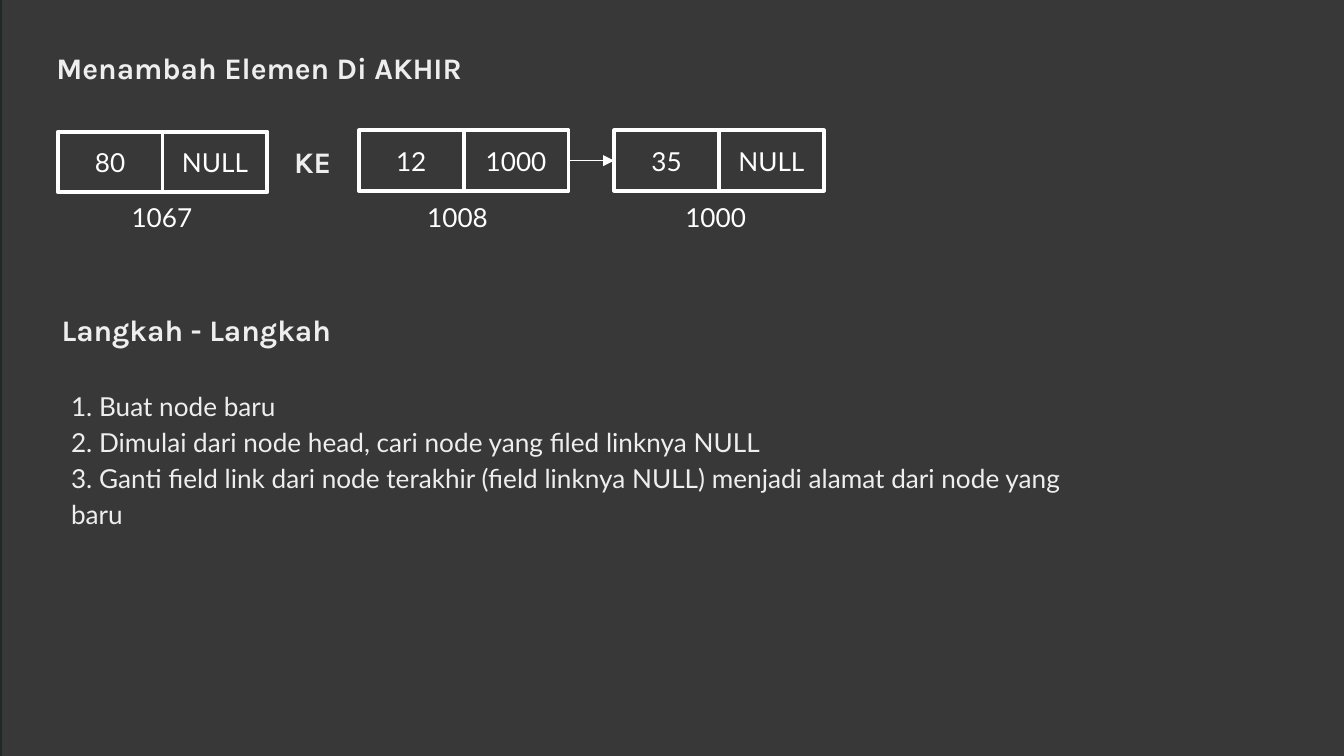
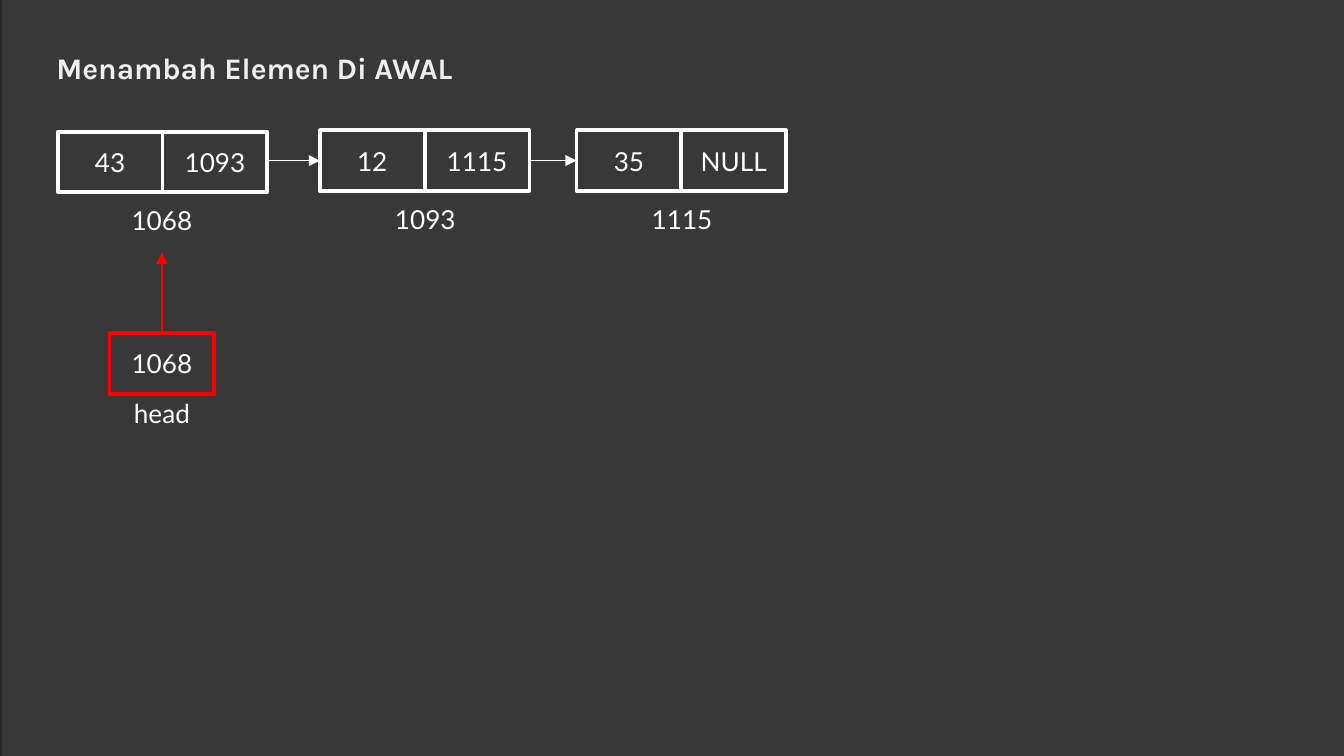
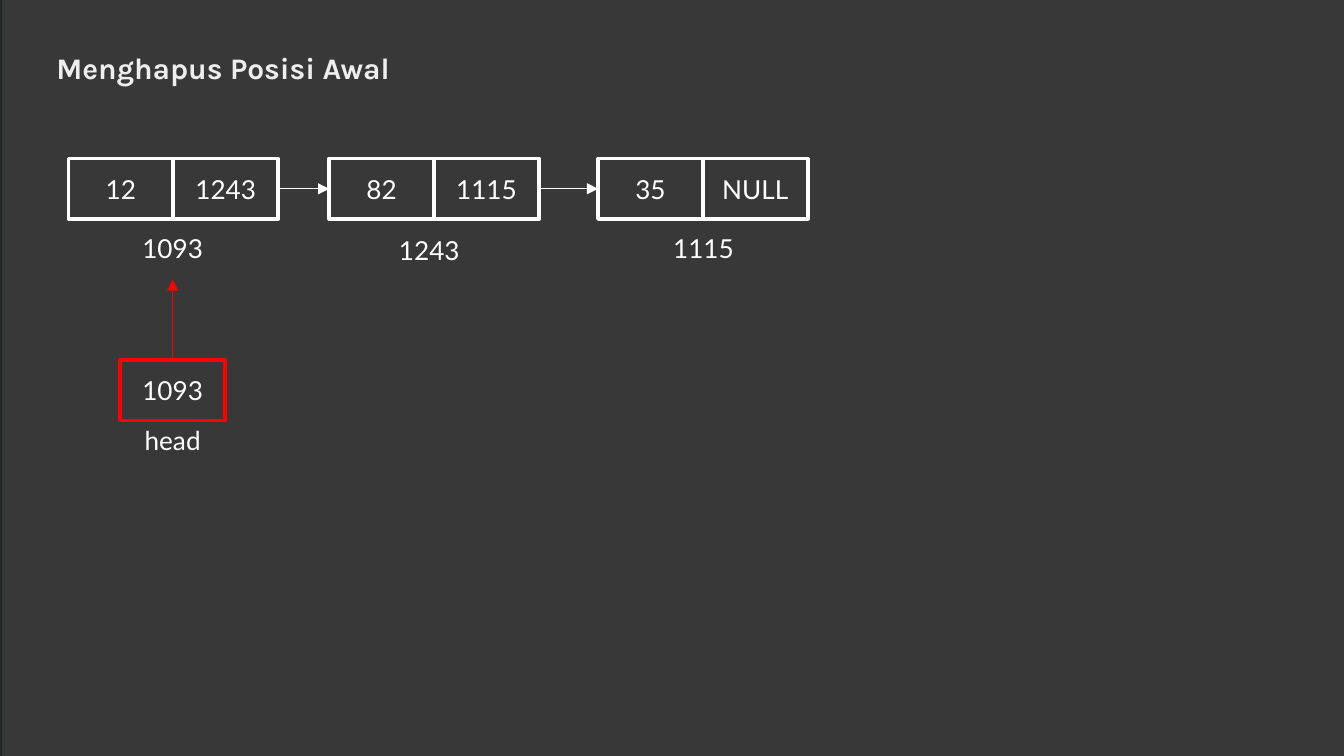
"""Build three slides on adding to and deleting from a linked list."""
from dataclasses import dataclass

from pptx import Presentation
from pptx.dml.color import RGBColor
from pptx.enum.shapes import MSO_CONNECTOR, MSO_SHAPE
from pptx.enum.text import MSO_ANCHOR, MSO_AUTO_SIZE, PP_ALIGN
from pptx.oxml.ns import qn
from pptx.oxml.xmlchemy import OxmlElement
from pptx.presentation import Presentation as Deck
from pptx.shapes.autoshape import Shape
from pptx.slide import Slide
from pptx.text.text import TextFrame
from pptx.util import Inches, Pt

RECTANGLE = MSO_SHAPE.RECTANGLE
STRAIGHT = MSO_CONNECTOR.STRAIGHT
TOP, MIDDLE = MSO_ANCHOR.TOP, MSO_ANCHOR.MIDDLE
LEFT, CENTER = PP_ALIGN.LEFT, PP_ALIGN.CENTER
NO_AUTOFIT = MSO_AUTO_SIZE.NONE

CHARCOAL = RGBColor(0x38, 0x38, 0x38)
EDGE = RGBColor(0x22, 0x28, 0x2A)
WHITE = RGBColor(0xFF, 0xFF, 0xFF)
PALE = RGBColor(0xEE, 0xEE, 0xEE)
RED = RGBColor(0xFF, 0x00, 0x00)

TITLE_ONLY = 5
SLIDE_WIDTH = Inches(10)
SLIDE_HEIGHT = SLIDE_WIDTH * 9 // 16
CELL_WIDTH, CELL_HEIGHT = 0.78, 0.45
LABEL_WIDTH, LABEL_HEIGHT = 0.97, 0.32
HEADING_HEIGHT = 0.63
INSET = 0.1


@dataclass(frozen=True)
class TextStyle:
    """Font and paragraph settings of a piece of text."""
    font: str
    size: float
    color: RGBColor
    bold: bool = False
    align: PP_ALIGN = LEFT
    anchor: MSO_ANCHOR = TOP
    spacing: float = 1.0


HEADING = TextStyle("Karla", 16, PALE, bold=True, anchor=MIDDLE)
CELL = TextStyle("Lato", 14, WHITE, align=CENTER, anchor=MIDDLE)
LABEL = TextStyle("Lato", 14, WHITE, align=CENTER)
BODY = TextStyle("Lato", 14, PALE, spacing=1.15)


@dataclass(frozen=True)
class Node:
    """A list node: value cell, link cell and the address below."""
    left: float
    top: float
    value: str
    link: str
    address: str
    address_left: float
    address_top: float

    @property
    def middle(self) -> float:
        """Return the height at which links enter the node."""
        return self.top + CELL_HEIGHT / 2

    @property
    def right(self) -> float:
        """Return the right edge of the link cell."""
        return self.left + 2 * CELL_WIDTH


@dataclass(frozen=True)
class ListSlide:
    """The contents of one linked-list slide."""
    title: str
    title_width: float
    backdrop_top: float
    nodes: tuple[Node, ...]
    first_link: int = 0
    has_head: bool = True


LIST_SLIDES = (
    ListSlide("Menambah Elemen Di AKHIR", 3.57, -0.24, (
        Node(0.43, 0.98, "80", "NULL", "1067", 0.72, 1.4),
        Node(2.67, 0.97, "12", "1000", "1008", 2.92, 1.4),
        Node(4.57, 0.97, "35", "NULL", "1000", 4.84, 1.4),
    ), first_link=1, has_head=False),
    ListSlide("Menambah Elemen Di AWAL", 3.57, -0.22, (
        Node(0.43, 0.98, "43", "1093", "1068", 0.72, 1.42),
        Node(2.38, 0.97, "12", "1115", "1093", 2.68, 1.41),
        Node(4.29, 0.97, "35", "NULL", "1115", 4.59, 1.41),
    )),
    ListSlide("Menghapus Posisi Awal", 4.42, -0.14, (
        Node(0.51, 1.18, "12", "1243", "1093", 0.8, 1.63),
        Node(2.45, 1.18, "82", "1115", "1243", 2.71, 1.64),
        Node(4.45, 1.18, "35", "NULL", "1115", 4.75, 1.63),
    )),
)

STEPS = (
    "1. Buat node baru",
    "2. Dimulai dari node head, cari node yang filed linknya NULL",
    "3. Ganti field link dari node terakhir (field linknya NULL) "
    "menjadi alamat dari node yang baru",
)


def write(frame: TextFrame, text: str, style: TextStyle) -> None:
    """Fill a text frame and format its paragraphs and runs."""
    frame.text = text
    frame.word_wrap = True
    frame.auto_size = NO_AUTOFIT
    frame.vertical_anchor = style.anchor
    for para in frame.paragraphs:
        para.alignment = style.align
        para.line_spacing = style.spacing
        for span in para.runs:
            span.font.name = style.font
            span.font.size = Pt(style.size)
            span.font.bold = style.bold
            span.font.color.rgb = style.color


def set_insets(frame: TextFrame) -> None:
    """Give a text frame equal insets on all sides."""
    frame.margin_left = frame.margin_right = Inches(INSET)
    frame.margin_top = frame.margin_bottom = Inches(INSET)


def add_text(page: Slide, text: str, left: float, top: float, width: float,
             height: float, style: TextStyle) -> None:
    """Add a styled text box."""
    box = page.shapes.add_textbox(
        Inches(left), Inches(top), Inches(width), Inches(height))
    set_insets(box.text_frame)
    write(box.text_frame, text, style)


def add_label(page: Slide, text: str, left: float, top: float) -> None:
    """Add a centred label below a cell or node."""
    add_text(page, text, left, top, LABEL_WIDTH, LABEL_HEIGHT, LABEL)


def add_rectangle(page: Slide, left: float, top: float, width: float,
                  height: float, outline: RGBColor) -> Shape:
    """Add a charcoal rectangle with a coloured outline."""
    box = page.shapes.add_shape(
        RECTANGLE, Inches(left), Inches(top), Inches(width), Inches(height))
    box.shadow.inherit = False
    box.fill.solid()
    box.fill.fore_color.rgb = CHARCOAL
    box.line.color.rgb = outline
    box.line.width = Pt(2)
    return box


def add_cell(page: Slide, text: str, left: float, top: float,
             outline: RGBColor = WHITE) -> None:
    """Add one cell of a node."""
    box = add_rectangle(page, left, top, CELL_WIDTH, CELL_HEIGHT, outline)
    write(box.text_frame, text, CELL)


def add_arrow(page: Slide, start: tuple[float, float],
              end: tuple[float, float], color: RGBColor) -> None:
    """Add a thin arrow with a triangular head at its end."""
    arrow = page.shapes.add_connector(
        STRAIGHT, Inches(start[0]), Inches(start[1]),
        Inches(end[0]), Inches(end[1]))
    arrow.line.color.rgb = color
    arrow.line.width = Pt(0.75)
    properties = arrow.element.spPr
    arrowhead = OxmlElement("a:tailEnd")
    arrowhead.set("type", "triangle")
    properties.find(qn("a:ln")).append(arrowhead)
    properties.append(OxmlElement("a:effectLst"))


def add_node(page: Slide, node: Node) -> None:
    """Add a node's two cells and its address."""
    add_cell(page, node.value, node.left, node.top)
    add_cell(page, node.link, node.left + CELL_WIDTH, node.top)
    add_label(page, node.address, node.address_left, node.address_top)


def add_head(page: Slide, node: Node) -> None:
    """Add the red head pointer below a node."""
    center = node.address_left + LABEL_WIDTH / 2
    top = node.top + 1.5
    add_cell(page, node.address, center - CELL_WIDTH / 2, top, RED)
    add_arrow(page, (center, top), (center, top - 0.6), RED)
    add_label(page, "head", node.address_left, top + 0.38)


def add_list_slide(deck: Deck, content: ListSlide) -> Slide:
    """Add a slide with its backdrop, title, nodes and arrows."""
    page = deck.slides.add_slide(deck.slide_layouts[TITLE_ONLY])
    title = page.shapes.title
    title.left, title.top = Inches(0.32), Inches(0.19)
    title.width, title.height = Inches(content.title_width), Inches(HEADING_HEIGHT)
    set_insets(title.text_frame)
    write(title.text_frame, content.title, HEADING)
    backdrop = add_rectangle(page, 0, content.backdrop_top, 10.13, 6.16, EDGE)
    title.element.addprevious(backdrop.element)

    for node in content.nodes:
        add_node(page, node)
    linked = content.nodes[content.first_link:]
    for source, target in zip(linked, linked[1:]):
        add_arrow(page, (source.right, target.middle),
                  (target.left, target.middle), WHITE)
    if content.has_head:
        add_head(page, content.nodes[0])
    return page


def add_steps(page: Slide) -> None:
    """Add the join word and the numbered steps."""
    add_text(page, "KE", 2.09, 0.89, 0.51, HEADING_HEIGHT, HEADING)
    add_text(page, "Langkah - Langkah", 0.36, 2.14, 3.57, HEADING_HEIGHT, HEADING)
    add_text(page, "\n".join(STEPS), 0.43, 2.77, 7.89, 2.26, BODY)


def main() -> None:
    """Build and save the deck."""
    deck = Presentation()
    deck.slide_width, deck.slide_height = SLIDE_WIDTH, SLIDE_HEIGHT
    pages = [add_list_slide(deck, content) for content in LIST_SLIDES]
    add_steps(pages[0])
    deck.save("out.pptx")


if __name__ == "__main__":
    main()
